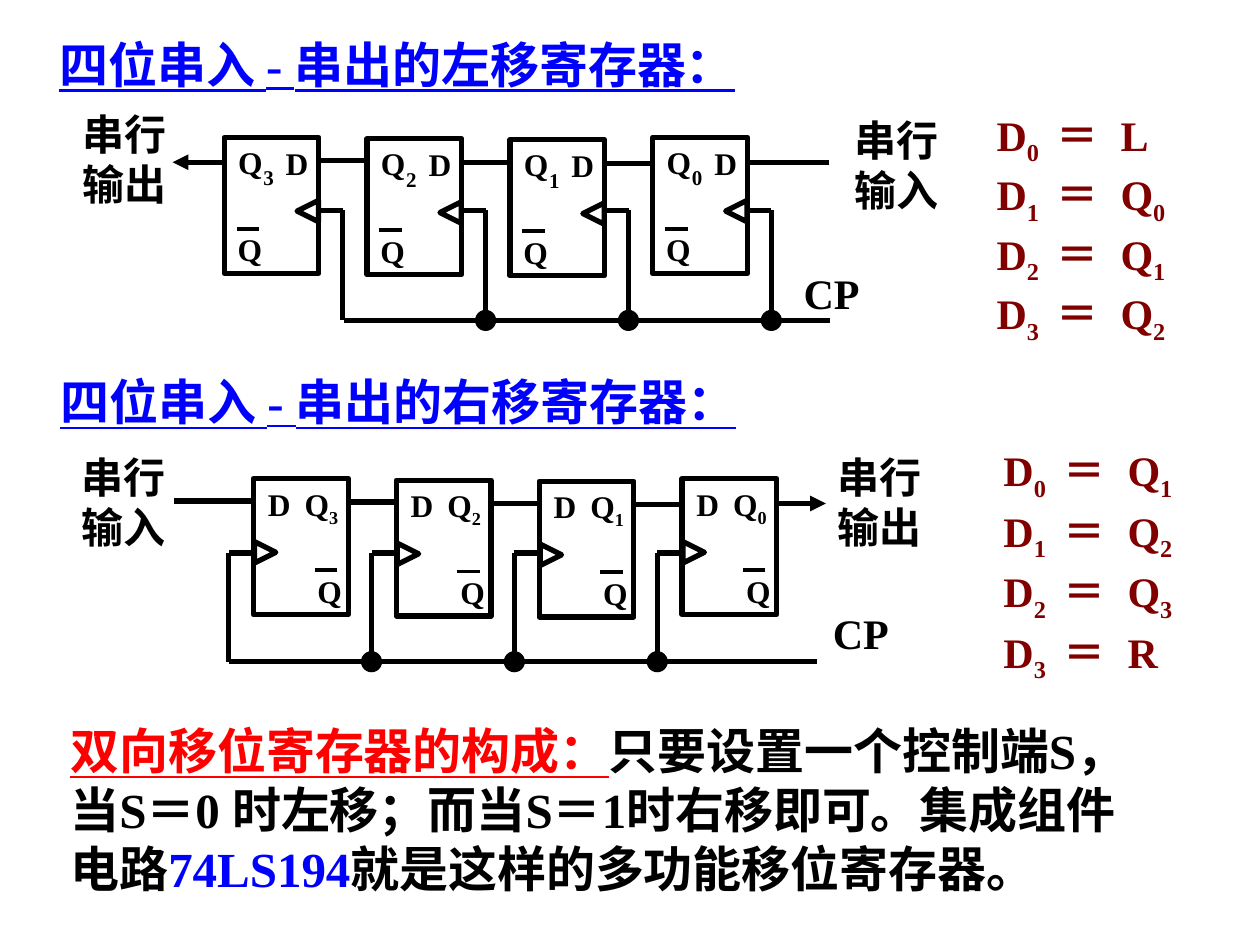
import dataclasses

import pptx
import pptx.dml.color
import pptx.enum.shapes
import pptx.enum.text
import pptx.oxml.ns
import pptx.util
from lxml import etree

Cm = pptx.util.Cm
Pt = pptx.util.Pt
SHAPE = pptx.enum.shapes.MSO_SHAPE


@dataclasses.dataclass(frozen=True)
class Theme:
    font: str = "Times New Roman"
    ink: str = "000000"
    heading: str = "0000FF"
    equation: str = "800000"
    alert: str = "FF0000"
    large: int = 28
    medium: int = 24
    small: int = 18
    tiny: int = 12
    wire: float = 3
    bar: float = 2.25


@dataclasses.dataclass(frozen=True)
class Register:
    left: float
    top: float
    clock_y: float
    bus_y: float
    bus_start: float
    bus_end: float
    shifts_left: bool


THEME = Theme()
PITCH = 2.88
STAGE_WIDTH = 1.91
STAGE_HEIGHT = 2.74
STAGE_DROPS = (0, 0.03, 0.05, 0)
TABS = (1.2, 2.5)


def color(value):
    return pptx.dml.color.RGBColor.from_string(value)


def add_child(parent, tag, **attributes):
    return etree.SubElement(parent, pptx.oxml.ns.qn(tag), **attributes)


def write(frame, spans, size=THEME.small, ink=THEME.ink, underline=False, tabs=()):
    frame.word_wrap = True
    para = frame.paragraphs[0]
    para.alignment = pptx.enum.text.PP_ALIGN.LEFT
    para.space_before = Pt(0)
    if tabs:
        tab_list = add_child(para._p.get_or_add_pPr(), "a:tabLst")
        for tab in tabs:
            add_child(tab_list, "a:tab", pos=str(Cm(tab)), algn="l")
    for text, options in [(spans, {})] if isinstance(spans, str) else spans:
        span = para.add_run()
        span.text = text
        span.font.name = THEME.font
        span.font.size = Pt(size)
        span.font.bold = True
        span.font.underline = options.get("underline", underline)
        span.font.color.rgb = color(options.get("ink", ink))
        if options.get("subscript"):
            span._r.get_or_add_rPr().set("baseline", "-25000")


def label(canvas, left, top, width, height, spans, **style):
    box = canvas.add_textbox(Cm(left), Cm(top), Cm(width), Cm(height))
    write(box.text_frame, spans, **style)
    box.text_frame.auto_size = pptx.enum.text.MSO_AUTO_SIZE.SHAPE_TO_FIT_TEXT


def wire(canvas, x1, y1, x2, y2, weight=THEME.wire, arrow=False):
    line = canvas.add_connector(
        pptx.enum.shapes.MSO_CONNECTOR.STRAIGHT, Cm(x1), Cm(y1), Cm(x2), Cm(y2)
    )
    line.line.color.rgb = color(THEME.ink)
    line.line.width = Pt(weight)
    if arrow:
        add_child(line.line._get_or_add_ln(), "a:tailEnd", type="triangle")
    add_child(line._element.spPr, "a:effectLst")


def outline(canvas, kind, left, top, width, height, weight=THEME.wire, rotation=0, solid=False):
    shape = canvas.add_shape(kind, Cm(left), Cm(top), Cm(width), Cm(height))
    shape.shadow.inherit = False
    shape.rotation = rotation
    shape.line.color.rgb = color(THEME.ink)
    shape.line.width = Pt(weight)
    if solid:
        shape.fill.solid()
        shape.fill.fore_color.rgb = color(THEME.ink)
    else:
        shape.fill.background()


def draw_stage(canvas, left, top, number, shifts_left):
    outline(canvas, SHAPE.RECTANGLE, left, top, STAGE_WIDTH, STAGE_HEIGHT)
    pin_x = left + (1.47 if shifts_left else 0.02)
    outline(canvas, SHAPE.FLOWCHART_EXTRACT, pin_x, top + 1.27, 0.43, 0.43,
            rotation=270 if shifts_left else 90)
    label(canvas, left + (0.99 if shifts_left else 0.04), top, 1.09, 1.02, "D")
    inverse_x = left + (0.02 if shifts_left else 1.04)
    bar_x = left + (0.25 if shifts_left else 1.23)
    label(canvas, inverse_x, top + 1.75, 1.17, 1.02, "Q")
    wire(canvas, bar_x + 0.45, top + 1.84, bar_x, top + 1.84, weight=THEME.bar)
    if shifts_left:
        label(canvas, left + 0.03, top - 0.02, 1.17, 1.02, "Q")
        label(canvas, left + 0.54, top + 0.43, 0.84, 0.76, number, size=THEME.tiny)
    else:
        label(canvas, left + 0.78, top, 1.73, 1.02, [("Q", {}), (number, {"subscript": True})])


def draw_clock(canvas, register, stage_x, dotted):
    pin_x = stage_x + (STAGE_WIDTH if register.shifts_left else 0)
    drop_x = pin_x + (0.48 if register.shifts_left else -0.5)
    wire(canvas, pin_x, register.clock_y, drop_x, register.clock_y)
    wire(canvas, drop_x, register.clock_y, drop_x, register.bus_y)
    if dotted:
        outline(canvas, SHAPE.OVAL, drop_x - 0.2, register.bus_y - 0.2, 0.4, 0.4,
                weight=0.75, solid=True)


def draw_register(page, register):
    canvas = page.shapes.add_group_shape().shapes
    for index, drop in enumerate(STAGE_DROPS):
        left = register.left + index * PITCH
        top = register.top + drop
        draw_stage(canvas, left, top, str(3 - index), register.shifts_left)
        draw_clock(canvas, register, left, dotted=index > 0)
        if index < len(STAGE_DROPS) - 1:
            wire(canvas, left + STAGE_WIDTH, top + 0.47, left + PITCH, top + 0.47)
    wire(canvas, register.bus_start, register.bus_y, register.bus_end, register.bus_y)
    first = register.left
    last = register.left + 3 * PITCH + STAGE_WIDTH
    y = register.top + 0.5
    if register.shifts_left:
        wire(canvas, first, y, first - 1.04, y, arrow=True)
        wire(canvas, last, y, last + 1.64, y)
    else:
        wire(canvas, first - 1.6, y - 0.05, first, y - 0.05)
        wire(canvas, last, y, last + 0.99, y, arrow=True)


def add_equations(page, left, top, pitch, sources):
    canvas = page.shapes.add_group_shape().shapes
    for index, (name, number) in enumerate(sources):
        spans = [("D", {}), (str(index), {"subscript": True}), ("\t＝\t" + name, {})]
        if number:
            spans.append((number, {"subscript": True}))
        label(canvas, left, top + index * pitch, 4.4, 1.27, spans,
              size=THEME.medium, ink=THEME.equation, tabs=TABS)


def add_title(page, text):
    title = page.shapes.title
    title.left, title.top, title.width, title.height = Cm(0.94), Cm(0.56), Cm(15.6), Cm(1.45)
    title.text_frame.vertical_anchor = pptx.enum.text.MSO_ANCHOR.TOP
    write(title.text_frame, text, size=THEME.large, ink=THEME.heading, underline=True)


def main():
    deck = pptx.Presentation()
    deck.slide_width, deck.slide_height = Cm(25.4), Cm(19.05)
    page = deck.slides.add_slide(deck.slide_layouts[5])
    add_title(page, "四位串入 - 串出的左移寄存器：")
    label(page.shapes, 0.97, 7.37, 15.72, 1.45, "四位串入 - 串出的右移寄存器：",
          size=THEME.large, ink=THEME.heading, underline=True)
    draw_register(page, Register(4.52, 2.77, 4.24, 6.46, 6.93, 16.74, True))
    draw_register(page, Register(5.11, 9.65, 11.15, 13.34, 4.61, 16.46, False))
    for left, top, width, text in (
        (1.42, 2.06, 2.49, "串行输出"),
        (16.97, 2.18, 2.29, "串行输入"),
        (15.95, 5.26, 2.08, "CP"),
        (1.4, 8.97, 2.29, "串行输入"),
        (16.64, 8.97, 2.49, "串行输出"),
        (16.54, 12.12, 2.08, "CP"),
    ):
        label(page.shapes, left, top, width, 1.27 if text == "CP" else 2.29, text,
              size=THEME.medium)
    add_equations(page, 19.84, 2.08, 1.2, [("L", ""), ("Q", "0"), ("Q", "1"), ("Q", "2")])
    add_equations(page, 19.98, 8.84, 1.22, [("Q", "1"), ("Q", "2"), ("Q", "3"), ("R", "")])
    label(page.shapes, 1.17, 14.4, 22.48, 3.81, [
        ("双向移位寄存器的构成：", {"ink": THEME.alert, "underline": True}),
        ("只要设置一个控制端S，当S＝0 时左移；而当S＝1时右移即可。集成组件 电路", {}),
        ("74LS194", {"ink": THEME.heading}),
        ("就是这样的多功能移位寄存器。", {}),
    ], size=THEME.large)
    deck.save("out.pptx")


if __name__ == "__main__":
    main()
